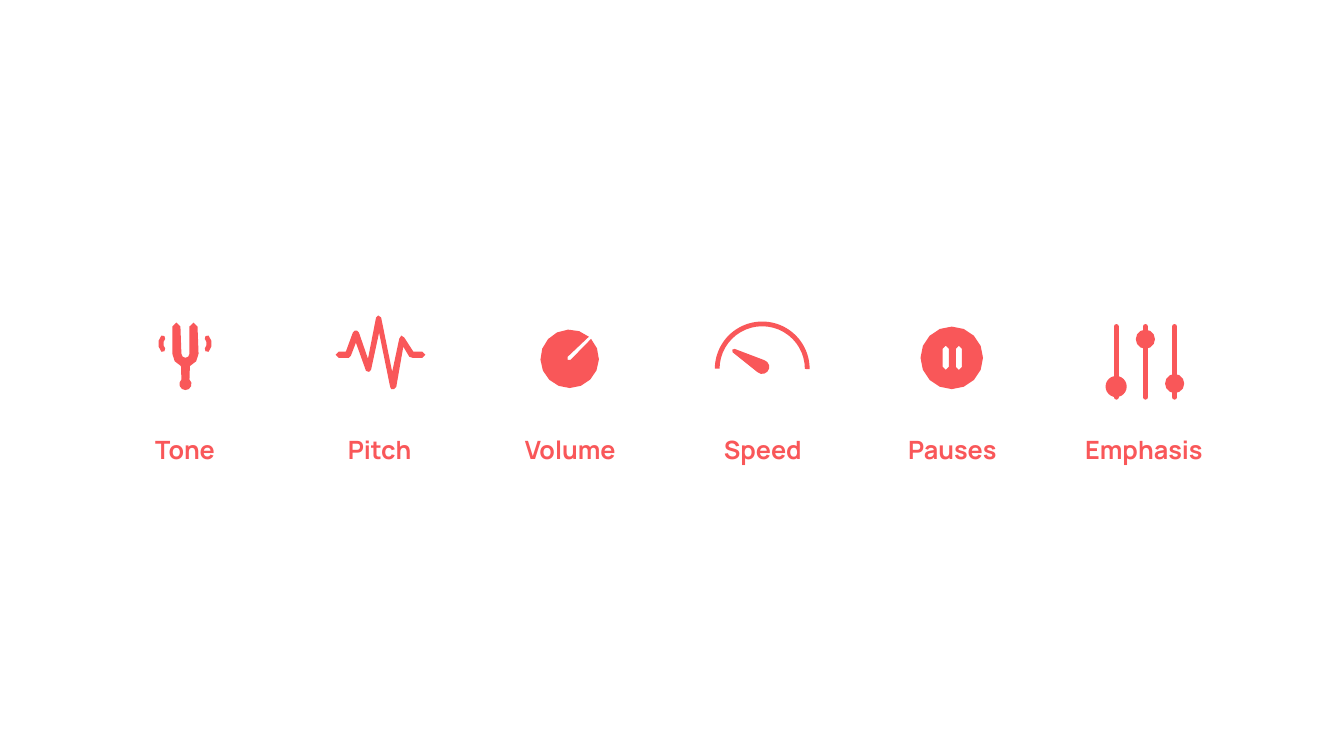
from math import cos, radians, sin

from lxml import etree
from pptx import Presentation
from pptx.dml.color import RGBColor
from pptx.enum.shapes import MSO_CONNECTOR, MSO_SHAPE
from pptx.enum.text import MSO_AUTO_SIZE, PP_ALIGN
from pptx.oxml.ns import qn
from pptx.util import Inches, Pt

CORAL = RGBColor(0xF9, 0x57, 0x59)
OVAL, BLOCK_ARC = MSO_SHAPE.OVAL, MSO_SHAPE.BLOCK_ARC
STRAIGHT = MSO_CONNECTOR.STRAIGHT
CENTER = PP_ALIGN.CENTER
FIT_SHAPE = MSO_AUTO_SIZE.SHAPE_TO_FIT_TEXT

LABELS = [("Tone", 1.14, 1.39), ("Pitch", 3.07, 1.39), ("Volume", 4.96, 1.39),
          ("Speed", 6.87, 1.39), ("Pauses", 8.75, 1.39), ("Emphasis", 10.54, 1.61)]
WAVE = [
    (4.22, 3.52), (4.19, 3.55), (4.09, 3.55), (4.06, 3.54), (4, 3.44), (3.93, 3.84),
    (3.91, 3.86), (3.88, 3.86), (3.87, 3.84), (3.76, 3.3), (3.68, 3.67), (3.66, 3.69),
    (3.63, 3.68), (3.53, 3.4), (3.48, 3.53), (3.46, 3.55), (3.36, 3.55), (3.33, 3.52),
    (3.36, 3.49), (3.43, 3.49), (3.5, 3.3), (3.52, 3.28), (3.54, 3.28), (3.56, 3.3),
    (3.65, 3.56), (3.73, 3.15), (3.75, 3.13), (3.78, 3.15), (3.89, 3.69), (3.96, 3.36),
    (3.98, 3.33), (4.01, 3.35), (4.1, 3.49), (4.19, 3.49)]


def arc(cx, cy, r, start, end, n=2):
    """Return n + 1 points along an arc, in degrees clockwise from the right."""
    angles = [radians(start + (end - start) * i / n) for i in range(n + 1)]
    return [(cx + r * cos(a), cy + r * sin(a)) for a in angles]


def capsule(cx, top, bottom, r):
    """Return the outline of an upright bar with round ends."""
    return arc(cx, top + r, r, 180, 360) + arc(cx, bottom - r, r, 0, 180)


def curved_band(cx, cy, inner, outer, middle, half):
    """Return the outline of a curved stroke with pointed round ends."""
    start, end = middle - half, middle + half
    tip_start, tip_end = arc(cx, cy, (inner + outer) / 2, start - 10, end + 10, 1)
    return (arc(cx, cy, outer, start, end, 3) + [tip_end]
            + arc(cx, cy, inner, end, start, 3) + [tip_start])


def paint(sp):
    """Give a shape the plain coral fill."""
    sp.shadow.inherit = False
    sp.fill.solid()
    sp.fill.fore_color.rgb = CORAL
    sp.line.fill.background()


def add_outline(shapes, *contours):
    """Add a filled freeform made of closed contours."""
    builder = None
    for contour in contours:
        points = [(Inches(x), Inches(y)) for x, y in contour]
        if builder is None:
            builder = shapes.build_freeform(*points[0], scale=1.0)
        else:
            builder.move_to(*points[0])
        builder.add_line_segments(points[1:], close=True)
    paint(builder.convert_to_shape())


def add_preset(shapes, kind, x, y, size, adjustments=()):
    """Add a filled preset shape in a square box."""
    sp = shapes.add_shape(kind, Inches(x), Inches(y), Inches(size), Inches(size))
    for i, value in enumerate(adjustments):
        sp.adjustments[i] = value
    paint(sp)


def add_track(shapes, x, top, bottom):
    """Add a vertical slider track with round ends."""
    c = shapes.add_connector(STRAIGHT, Inches(x), Inches(top), Inches(x), Inches(bottom))
    c.line.color.rgb = CORAL
    c.line.width = Pt(3.63)
    sp_pr = c._element.spPr
    sp_pr.find(qn("a:ln")).set("cap", "rnd")
    etree.SubElement(sp_pr, qn("a:effectLst"))


def add_text(shapes, text, x, y, w, h, size=18, font="Manrope", color=CORAL, bold=True):
    """Add a centred text box."""
    tf = shapes.add_textbox(Inches(x), Inches(y), Inches(w), Inches(h)).text_frame
    tf.word_wrap = True
    tf.auto_size = FIT_SHAPE
    tf.margin_left = tf.margin_right = Inches(0.09)
    tf.margin_top = tf.margin_bottom = Inches(0.04)
    p = tf.paragraphs[0]
    p.alignment = CENTER
    r = p.add_run()
    r.text = text
    r.font.size, r.font.name, r.font.bold = Pt(size), font, bold
    r.font.color.rgb = color


def add_volume_knob(shapes):
    """Add the volume icon, a disc with a narrow slit."""
    slit = [(5.63, 3.54), (5.63, 3.57), (5.66, 3.57)]
    add_outline(shapes, arc(5.65, 3.56, 0.29, -43, 311, 16) + slit)


def add_tuning_fork(shapes):
    """Add the tone icon as a group."""
    group = shapes.add_group_shape().shapes
    cx, bend = 1.84, 3.51
    add_outline(group, curved_band(1.98, 3.41, 0.07, 0.12, 0, 42))
    add_outline(group, curved_band(1.69, 3.41, 0.07, 0.12, 180, 42))
    add_outline(group, arc(1.75, 3.24, 0.04, 180, 360) + arc(cx, bend, 0.04, 180, 0, 4)
                + arc(1.92, 3.24, 0.04, 180, 360) + arc(cx, bend, 0.13, 0, 70)
                + arc(cx, 3.81, 0.06, -48, 228, 8) + arc(cx, bend, 0.13, 110, 180))


def add_sliders(shapes):
    """Add the emphasis icon, three tracks with knobs."""
    knobs = [(3.73, 0.21), (3.27, 0.19), (3.71, 0.19)]
    tracks = [11.07 + 0.29 * i for i in range(len(knobs))]
    for x in tracks:
        add_track(shapes, x, 3.24, 3.94)
    for x, (top, size) in zip(tracks, knobs):
        add_preset(shapes, OVAL, x - size / 2, top, size)


def add_pause_button(shapes):
    """Add the pauses icon, a disc with two bars cut out."""
    bars = [capsule(x, 3.43, 3.67, 0.03) for x in (9.38, 9.51)]
    add_outline(shapes, arc(9.44, 3.55, 0.31, 0, 337.5, 15), *bars)


def add_speedometer(shapes):
    """Add the speed icon, a dial with a needle."""
    add_preset(shapes, BLOCK_ARC, 7.09, 3.19, 0.94, (108.14, 0.08, 0.05))
    add_outline(shapes, arc(7.56, 3.64, 0.07, 288, 490, 7) + arc(7.28, 3.48, 0.02, 130, 288))


def main():
    """Build the slide of six voice qualities."""
    prs = Presentation()
    prs.slide_width, prs.slide_height = Inches(13.33), Inches(7.5)
    s = prs.slides.add_slide(prs.slide_layouts[6])
    add_volume_knob(s.shapes)
    add_outline(s.shapes, WAVE)
    add_tuning_fork(s.shapes)
    add_sliders(s.shapes)
    add_pause_button(s.shapes)
    for text, x, w in LABELS:
        add_text(s.shapes, text, x, 4.27, w, 0.39)
    add_speedometer(s.shapes)
    prs.save("out.pptx")


main()
